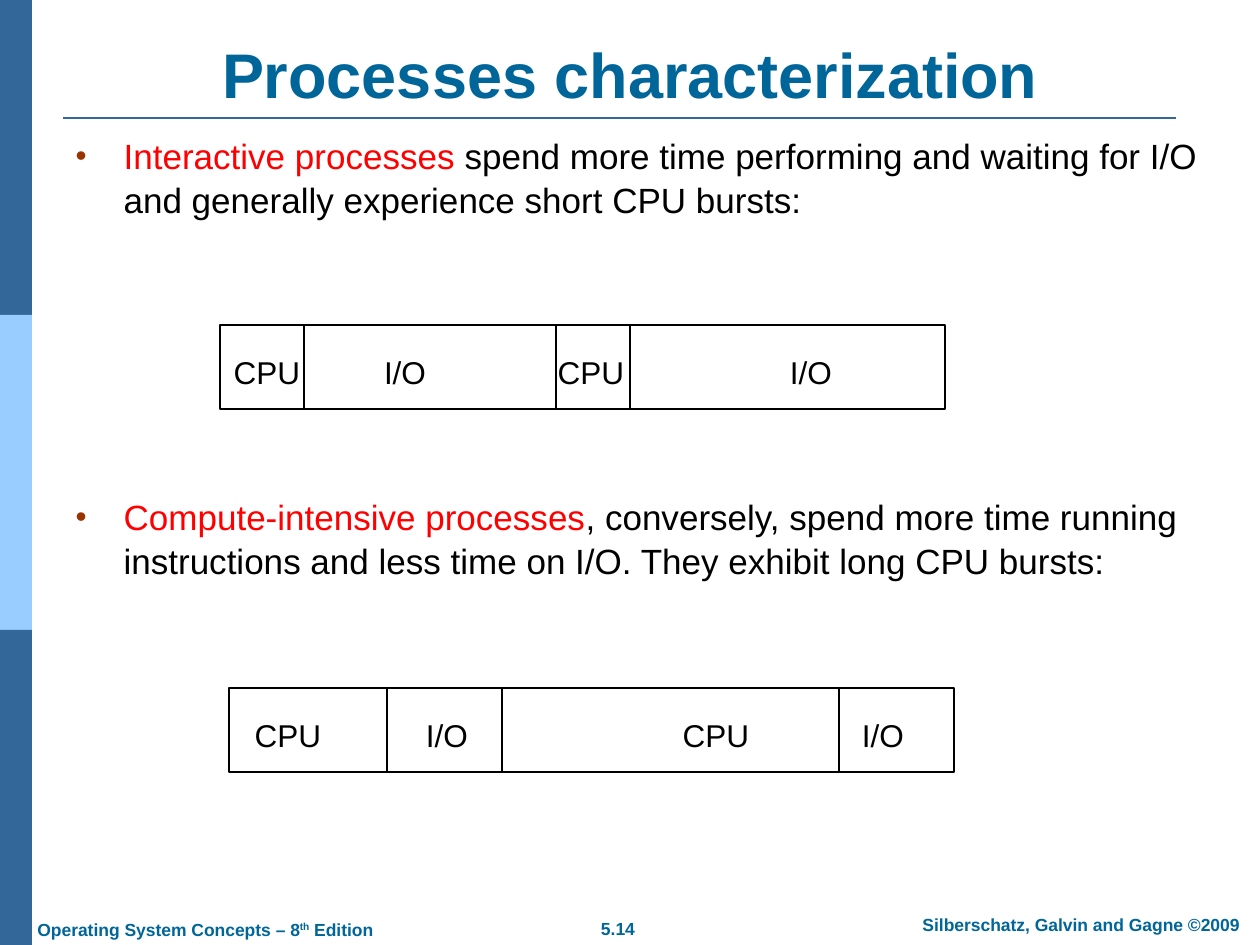
from lxml.etree import SubElement
from pptx import Presentation
from pptx.dml.color import RGBColor
from pptx.enum.shapes import MSO_CONNECTOR, MSO_SHAPE
from pptx.enum.text import MSO_ANCHOR, MSO_AUTO_SIZE, PP_ALIGN
from pptx.oxml.ns import qn
from pptx.util import Emu, Pt

COLORS = {
    "band": "336699", "band_light": "99CCFF", "heading": "006699",
    "bullet": "993300", "term": "FF0000", "text": "000000", "white": "FFFFFF",
}
FONT = "Arial"
BULLETS = [
    ("Interactive processes ",
     "spend more time performing and waiting for I/O and generally experience short CPU bursts:"),
    ("Compute-intensive processes",
     ", conversely, spend more time running instructions and less time on I/O. "
     "They exhibit long CPU bursts:"),
]
BURST_BARS = [
    ((220, 325, 725, 84), (84, 336, 410),
     [("CPU", 47), ("I/O", 185), ("CPU", 371), ("I/O", 591)]),
    ((229, 688, 725, 84), (158, 273, 610),
     [("CPU", 59), ("I/O", 218), ("CPU", 487), ("I/O", 654)]),
]


def px(length):
    """Turn a length in px into EMU."""
    return Emu(round(length * 914400 / 126))


def color(name):
    """Look up a named colour."""
    return RGBColor.from_string(COLORS[name])


def format_run(run, size, color_name, bold=False):
    """Set the font of a run."""
    run.font.name = FONT
    run.font.size = Pt(size)
    run.font.bold = bold
    run.font.color.rgb = color(color_name)


def place(shape, box):
    """Move and resize a shape to a px box."""
    shape.left, shape.top, shape.width, shape.height = map(px, box)


def add_rectangle(shapes, box, fill, line=None):
    """Add a flat rectangle, outlined when a line colour is given."""
    rectangle = shapes.add_shape(MSO_SHAPE.RECTANGLE, *map(px, box))
    rectangle.shadow.inherit = False
    rectangle.fill.solid()
    rectangle.fill.fore_color.rgb = color(fill)
    if line:
        rectangle.line.color.rgb = color(line)
        rectangle.line.width = Pt(0.75)
    else:
        rectangle.line.fill.background()


def add_line(shapes, start, end, color_name, width):
    """Add a straight line without a shadow."""
    line = shapes.add_connector(MSO_CONNECTOR.STRAIGHT, *map(px, start + end))
    line.line.color.rgb = color(color_name)
    line.line.width = Pt(width)
    SubElement(line._element.spPr, qn("a:effectLst"))


def add_text(shapes, box, parts, size, color_name, bold=False, alignment=PP_ALIGN.CENTER):
    """Add a one-paragraph text box made of the given parts and return its runs."""
    text_frame = shapes.add_textbox(*map(px, box)).text_frame
    text_frame.word_wrap = True
    text_frame.vertical_anchor = MSO_ANCHOR.MIDDLE
    paragraph = text_frame.paragraphs[0]
    paragraph.alignment = alignment
    for part in parts:
        run = paragraph.add_run()
        run.text = part
        format_run(run, size, color_name, bold)
    return paragraph.runs


def add_side_band(slide, box):
    """Stack three equal blocks down the box."""
    left, top, width, height = box
    block = height // 3
    for row, fill in enumerate(("band", "band_light", "band")):
        add_rectangle(slide.shapes, (left, top + row * block, width, block), fill)


def add_title(slide, box):
    """Fill the title placeholder and underline it."""
    left, top, width, height = box
    title = slide.shapes.title
    place(title, box)
    title.text_frame.text = "Processes characterization"
    title.text_frame.vertical_anchor = MSO_ANCHOR.BOTTOM
    title.text_frame.auto_size = MSO_AUTO_SIZE.NONE
    paragraph = title.text_frame.paragraphs[0]
    paragraph.alignment = PP_ALIGN.CENTER
    format_run(paragraph.runs[0], 36, "heading", True)
    rule = top + height + 1
    add_line(slide.shapes, (left, rule), (left + 1113, rule), "band", 1.5)


def set_bullet(paragraph):
    """Give a paragraph a hanging coloured bullet."""
    properties = paragraph._p.get_or_add_pPr()
    properties.set("marL", str(px(48)))
    properties.set("indent", str(-px(48)))
    bullet_color = SubElement(properties, qn("a:buClr"))
    SubElement(bullet_color, qn("a:srgbClr"), val=COLORS["bullet"])
    SubElement(properties, qn("a:buSzPct"), val="90000")
    SubElement(properties, qn("a:buFont"), typeface=FONT)
    SubElement(properties, qn("a:buChar"), char="•")


def add_body(slide, box):
    """Fill the body placeholder, leaving room for a bar after each bullet."""
    body = slide.placeholders[1]
    place(body, box)
    text_frame = body.text_frame
    text_frame.auto_size = MSO_AUTO_SIZE.NONE
    for index, (term, description) in enumerate(BULLETS):
        paragraph = text_frame.add_paragraph() if index else text_frame.paragraphs[0]
        paragraph.line_spacing = 1.05
        paragraph.space_before = Pt(156 * index)
        set_bullet(paragraph)
        for text, color_name in ((term, "term"), (description, "text")):
            run = paragraph.add_run()
            run.text = text
            format_run(run, 20, color_name)


def add_burst_bar(slide, box, dividers, labels):
    """Draw a bar split by dividers, with labels centred at offsets from its left."""
    left, top, width, height = box
    shapes = slide.shapes.add_group_shape().shapes
    add_rectangle(shapes, box, "white", "text")
    for offset in dividers:
        add_line(shapes, (left + offset, top), (left + offset, top + height), "text", 0.75)
    for text, center in labels:
        add_text(shapes, (left + center - 49, top + 22, 98, 50), [text], 18, "text")


def add_footer(slide, box):
    """Place the book, page and author lines along the bottom."""
    left, top, width, height = box
    style = {"size": 10, "color_name": "heading", "bold": True}
    book = add_text(slide.shapes, (left, top + 5, 363, height),
                    ["Operating System Concepts – 8", "th", " Edition"],
                    alignment=PP_ALIGN.LEFT, **style)
    book[1].font._element.set("baseline", "30000")
    add_text(slide.shapes, (left + 562, top + 4, 62, height), ["5.14"], **style)
    add_text(slide.shapes, (left + 869, top, 374, height),
             ["Silberschatz, Galvin and Gagne ©2009"], **style)


def main():
    """Build and save the slide."""
    presentation = Presentation()
    presentation.slide_width, presentation.slide_height = px(1260), px(945)
    slide = presentation.slides.add_slide(presentation.slide_layouts[1])
    add_side_band(slide, (0, 0, 32, 945))
    add_footer(slide, (25, 907, 1235, 34))
    add_title(slide, (63, 38, 1134, 79))
    add_body(slide, (63, 126, 1162, 126))
    for bar in BURST_BARS:
        add_burst_bar(slide, *bar)
    presentation.save("out.pptx")


if __name__ == "__main__":
    main()
